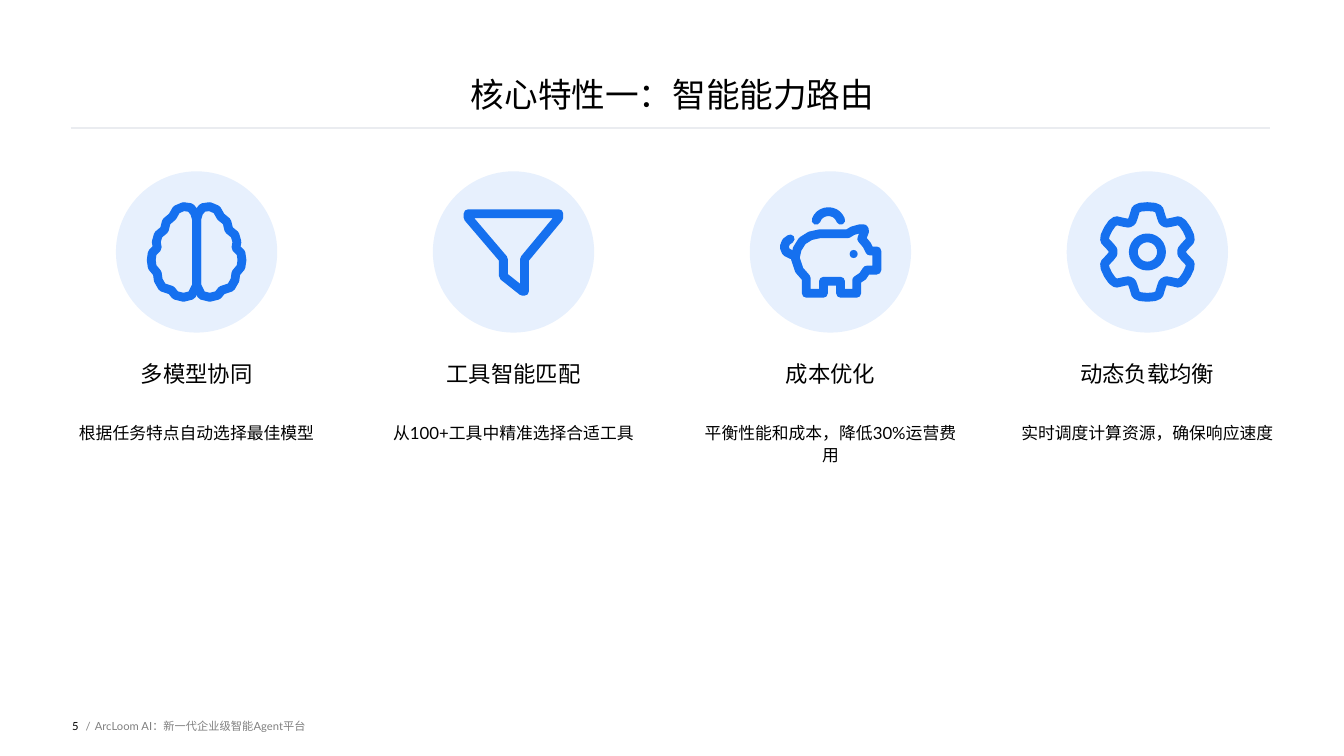
"""Build the slide on intelligent capability routing with four icon columns."""
import math

import lxml.etree
import pptx
import pptx.dml.color
import pptx.enum.shapes
import pptx.enum.text
import pptx.oxml.ns
import pptx.util

Inches = pptx.util.Inches
Pt = pptx.util.Pt
ALIGN = pptx.enum.text.PP_ALIGN
ANCHOR = pptx.enum.text.MSO_ANCHOR
OVAL = pptx.enum.shapes.MSO_SHAPE.OVAL
qn = pptx.oxml.ns.qn

BLUE = pptx.dml.color.RGBColor(0x15, 0x70, 0xEF)
BLACK = pptx.dml.color.RGBColor(0x00, 0x00, 0x00)
GRAY = pptx.dml.color.RGBColor(0x80, 0x80, 0x80)
RULE_GRAY = pptx.dml.color.RGBColor(0xEA, 0xEC, 0xF0)
STROKE = Pt(6.3)
UNITS_PER_INCH = 1000
ICON_Y = 2.5


def set_text(holder, text, size, color, align, anchor, spacing=1.0):
    frame = holder.text_frame
    frame.text = text
    frame.word_wrap = True
    frame.auto_size = pptx.enum.text.MSO_AUTO_SIZE.NONE
    frame.vertical_anchor = anchor
    frame.margin_left = frame.margin_right = 0
    frame.margin_top = frame.margin_bottom = 0
    paragraph = frame.paragraphs[0]
    paragraph.alignment = align
    paragraph.line_spacing = spacing
    paragraph.font.name = "Lato"
    paragraph.font.size = Pt(size)
    paragraph.font.color.rgb = color


def draw_stroke(center_x, points, closed):
    vertices = [((center_x + x) * UNITS_PER_INCH, (ICON_Y + y) * UNITS_PER_INCH) for x, y in points]
    builder = slide.shapes.build_freeform(*vertices[0], scale=Inches(1) / UNITS_PER_INCH)
    builder.add_line_segments(vertices[1:], close=closed)
    stroke = builder.convert_to_shape()
    stroke.shadow.inherit = False
    stroke.fill.background()
    stroke.line.color.rgb = BLUE
    stroke.line.width = STROKE
    outline = stroke.line._ln
    outline.set("cap", "rnd")
    lxml.etree.SubElement(outline, qn("a:round"))


presentation = pptx.Presentation()
presentation.slide_width = Inches(13.33)
presentation.slide_height = Inches(7.5)
slide = presentation.slides.add_slide(presentation.slide_layouts[5])

title = slide.shapes.title
title.left, title.top = Inches(0.7), Inches(0)
title.width, title.height = Inches(11.94), Inches(1.13)
set_text(title, "核心特性一：智能能力路由", 24, BLACK, ALIGN.CENTER, ANCHOR.BOTTOM)

title_rule = slide.shapes.add_connector(
    pptx.enum.shapes.MSO_CONNECTOR.STRAIGHT,
    Inches(0.7), Inches(1.27), Inches(12.6), Inches(1.27))
title_rule.line.color.rgb = RULE_GRAY
title_rule.line.width = Pt(2)
lxml.etree.SubElement(title_rule._element.spPr, qn("a:effectLst"))

right_lobe = [
    (0, -0.32), (0.02, -0.39), (0.06, -0.44), (0.13, -0.45), (0.2, -0.42),
    (0.24, -0.35), (0.3, -0.3), (0.32, -0.22), (0.38, -0.17), (0.4, -0.1),
    (0.39, -0.04), (0.44, 0.01), (0.45, 0.08), (0.44, 0.15), (0.39, 0.21),
    (0.38, 0.28), (0.34, 0.35), (0.25, 0.38), (0.21, 0.43), (0.13, 0.45),
    (0.05, 0.43), (0, 0.33)]
left_lobe = [(-x, y) for x, y in right_lobe]

funnel = [
    (-0.45, -0.38), (0.45, -0.38), (0.45, -0.34), (0.11, 0.07),
    (0.11, 0.39), (0.09, 0.39), (-0.1, 0.24), (-0.1, 0.07), (-0.45, -0.34)]

pig_body = [
    (-0.35, 0.06), (-0.33, -0.03), (-0.28, -0.11), (-0.2, -0.16),
    (-0.11, -0.18), (0.17, -0.18), (0.22, -0.21), (0.29, -0.23),
    (0.33, -0.23), (0.34, -0.21), (0.31, -0.13), (0.36, -0.07),
    (0.39, -0.01), (0.46, -0.01), (0.46, 0.18), (0.36, 0.18),
    (0.32, 0.24), (0.26, 0.28), (0.26, 0.41), (0.1, 0.41),
    (0.1, 0.29), (-0.07, 0.29), (-0.07, 0.41), (-0.24, 0.41),
    (-0.24, 0.26), (-0.31, 0.18)]
pig_tail = [(-0.4, -0.13), (-0.44, -0.1), (-0.46, -0.05), (-0.44, 0), (-0.38, 0.03)]
coin_arc = [
    (-0.02 + 0.13 * math.cos(angle), -0.27 - 0.13 * math.sin(angle))
    for angle in (math.radians(degrees) for degrees in range(20, 161, 14))]

tooth = [(-22, 0.37), (-15, 0.44), (-9, 0.45), (0, 0.45),
         (9, 0.45), (15, 0.44), (22, 0.37), (27, 0.34), (33, 0.34)]
gear = [
    (radius * math.sin(math.radians(turn + angle)), -radius * math.cos(math.radians(turn + angle)))
    for turn in range(0, 360, 60) for angle, radius in tooth]

features = [
    ("多模型协同", "根据任务特点自动选择最佳模型", [(left_lobe, True), (right_lobe, True)]),
    ("工具智能匹配", "从100+工具中精准选择合适工具", [(funnel, True)]),
    ("成本优化", "平衡性能和成本，降低30%运营费用",
     [(pig_body, True), (pig_tail, False), (coin_arc, False)]),
    ("动态负载均衡", "实时调度计算资源，确保响应速度", [(gear, True)]),
]
column_width = 2.5
column_pitch = (10.13 - 0.7) / 3
centers = [0.7 + column_width / 2 + index * column_pitch for index in range(len(features))]

for center_x, (heading, description, strokes) in zip(centers, features):
    disc = slide.shapes.add_shape(
        OVAL, Inches(center_x - 0.8), Inches(ICON_Y - 0.8), Inches(1.6), Inches(1.6))
    disc.shadow.inherit = False
    disc.fill.solid()
    disc.fill.fore_color.rgb = BLUE
    disc.line.fill.background()
    disc_color = disc._element.spPr.find(qn("a:solidFill"))[0]
    lxml.etree.SubElement(disc_color, qn("a:alpha")).set("val", "10000")

    for points, closed in strokes:
        draw_stroke(center_x, points, closed)

    for text, top, height, size, spacing in (
            (heading, 3.6, 0.4, 16, 0.9), (description, 4.17, 2, 12, 1.1)):
        caption = slide.shapes.add_textbox(
            Inches(center_x - column_width / 2), Inches(top), Inches(column_width), Inches(height))
        set_text(caption, text, size, BLACK, ALIGN.CENTER, ANCHOR.TOP, spacing)

pig_eye = slide.shapes.add_shape(
    OVAL, Inches(centers[2] + 0.19), Inches(ICON_Y - 0.02), Inches(0.08), Inches(0.08))
pig_eye.shadow.inherit = False
pig_eye.fill.solid()
pig_eye.fill.fore_color.rgb = BLUE
pig_eye.line.fill.background()

gear_hub = slide.shapes.add_shape(
    OVAL, Inches(centers[3] - 0.14), Inches(ICON_Y - 0.14), Inches(0.28), Inches(0.28))
gear_hub.shadow.inherit = False
gear_hub.fill.background()
gear_hub.line.color.rgb = BLUE
gear_hub.line.width = STROKE

for text, left, width, color, align in (
        ("5", 0.47, 0.31, BLACK, ALIGN.RIGHT),
        ("/", 0.85, 0.09, GRAY, ALIGN.LEFT),
        ("ArcLoom AI：新一代企业级智能Agent平台", 0.94, 8.61, GRAY, ALIGN.LEFT)):
    footer = slide.shapes.add_textbox(Inches(left), Inches(6.9), Inches(width), Inches(0.6))
    set_text(footer, text, 8, color, align, ANCHOR.MIDDLE)

presentation.save("out.pptx")
